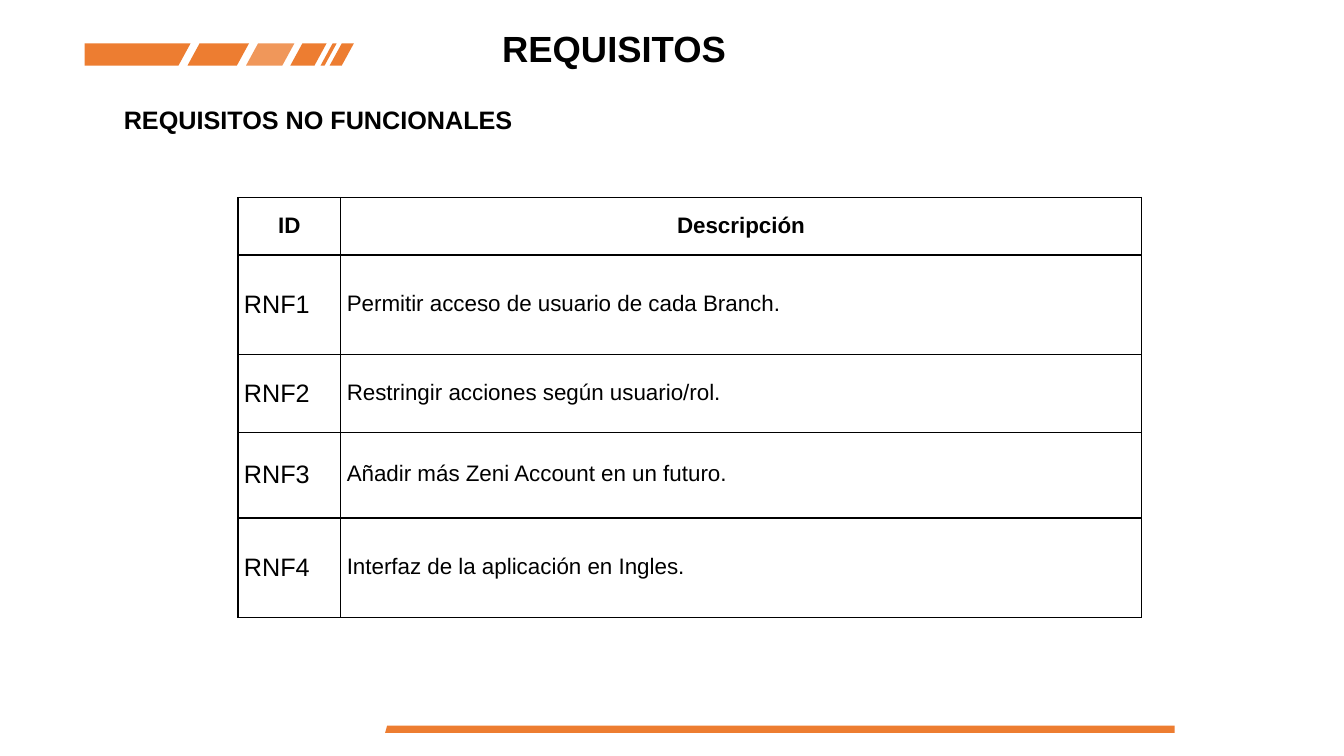
from dataclasses import dataclass

from lxml import etree
from pptx import Presentation
from pptx import util as u
from pptx.dml.color import RGBColor
from pptx.enum import text
from pptx.oxml.ns import qn


@dataclass(frozen=True)
class Theme:
    font: str = "Arial"
    ink: str = "000000"
    accent: str = "ED7D31"
    title: int = 26
    heading: int = 18
    body: int = 16
    border: float = 0.96


THEME = Theme()
SLANT = 0.12
STRIPES = [
    (0.00, 0.93, 0, 100),
    (1.02, 0.49, SLANT, 100),
    (1.60, 0.36, SLANT, 80),
    (2.04, 0.24, SLANT, 100),
    (2.43, 0.12, SLANT, 100),
    (2.34, 0.04, SLANT, 100),
]
COLUMN_WIDTHS = [1.02, 7.94]
ROW_HEIGHTS = [0.57, 0.99, 0.77, 0.85, 0.99]
REQUIREMENTS = [
    ("ID", "Descripción"),
    ("RNF1", "Permitir acceso de usuario de cada Branch."),
    ("RNF2", "Restringir acciones según usuario/rol."),
    ("RNF3", "Añadir más Zeni Account en un futuro."),
    ("RNF4", "Interfaz de la aplicación en Ingles."),
]


def write(paragraph, words, size, bold=False):
    run = paragraph.add_run()
    run.text = words
    run.font.name = THEME.font
    run.font.size = u.Pt(size)
    run.font.bold = bold
    run.font.color.rgb = RGBColor.from_string(THEME.ink)


def add_outline(slide, points, opacity=100):
    corners = [(u.Inches(x), u.Inches(y)) for x, y in points]
    builder = slide.shapes.build_freeform(*corners[0])
    builder.add_line_segments(corners[1:], close=True)
    shape = builder.convert_to_shape()
    shape.shadow.inherit = False
    shape.fill.solid()
    shape.fill.fore_color.rgb = RGBColor.from_string(THEME.accent)
    shape.line.fill.background()
    if opacity < 100:
        color = shape.fill._xPr.find(qn("a:solidFill"))[0]
        etree.SubElement(color, qn("a:alpha"), val=str(opacity * 1000))


def add_stripes(slide, left, top, height):
    for offset, width, slant, opacity in STRIPES:
        start = left + offset
        end = start + width
        add_outline(slide, [
            (start + slant, top), (end + SLANT, top),
            (end, top + height), (start, top + height),
        ], opacity)


def add_footer_bar(slide, left, top, width, height):
    right, bottom = left + width, top + height
    add_outline(slide, [(left, bottom), (right, bottom), (right, top), (left + 0.02, top)])


def fill_text(shape, words, size):
    frame = shape.text_frame
    frame.word_wrap = True
    frame.auto_size = text.MSO_AUTO_SIZE.NONE
    frame.vertical_anchor = text.MSO_ANCHOR.TOP
    paragraph = frame.paragraphs[0]
    paragraph.alignment = text.PP_ALIGN.LEFT
    paragraph.line_spacing = 1.0
    paragraph.space_before = u.Pt(0)
    write(paragraph, words, size, bold=True)


def add_title(slide, left, top, width, height):
    title = slide.shapes.title
    title.left, title.top = u.Inches(left), u.Inches(top)
    title.width, title.height = u.Inches(width), u.Inches(height)
    fill_text(title, "REQUISITOS", THEME.title)


def add_heading(slide, left, top, width, height):
    box = slide.shapes.add_textbox(*map(u.Inches, (left, top, width, height)))
    fill_text(box, "REQUISITOS NO FUNCIONALES", THEME.heading)


def add_borders(cell):
    properties = cell._tc.get_or_add_tcPr()
    for index, side in enumerate(("lnL", "lnR", "lnT", "lnB")):
        line = etree.Element(qn(f"a:{side}"), w=str(u.Pt(THEME.border)))
        fill = etree.SubElement(line, qn("a:solidFill"))
        etree.SubElement(fill, qn("a:srgbClr"), val=THEME.ink)
        properties.insert(index, line)


def add_cell(cell, words, is_header, is_id):
    cell.fill.background()
    add_borders(cell)
    cell.vertical_anchor = text.MSO_ANCHOR.MIDDLE
    cell.margin_left = cell.margin_right = u.Inches(0.06)
    cell.margin_top = cell.margin_bottom = u.Inches(0.05)
    paragraph = cell.text_frame.paragraphs[0]
    paragraph.alignment = text.PP_ALIGN.CENTER if is_header else text.PP_ALIGN.LEFT
    if not is_header and not is_id:
        paragraph.line_spacing = 0.9
    size = THEME.heading if is_id and not is_header else THEME.body
    write(paragraph, words, size, bold=is_header)


def add_requirements(slide, left, top):
    table = slide.shapes.add_table(
        len(ROW_HEIGHTS), len(COLUMN_WIDTHS), u.Inches(left), u.Inches(top),
        u.Inches(sum(COLUMN_WIDTHS)), u.Inches(sum(ROW_HEIGHTS)),
    ).table
    table.first_row = table.horz_banding = False
    for column, width in zip(table.columns, COLUMN_WIDTHS):
        column.width = u.Inches(width)
    for row_index, (row, height) in enumerate(zip(table.rows, ROW_HEIGHTS)):
        row.height = u.Inches(height)
        for column_index, words in enumerate(REQUIREMENTS[row_index]):
            add_cell(row.cells[column_index], words, row_index == 0, column_index == 0)


def add_requirements_slide(presentation):
    slide = presentation.slides.add_slide(presentation.slide_layouts.get_by_name("Title Only"))
    add_footer_bar(slide, 3.82, 7.2, 7.83, 0.07)
    add_title(slide, 4.88, 0.21, 3.87, 0.55)
    add_stripes(slide, 0.84, 0.43, 0.22)
    add_requirements(slide, 2.36, 1.96)
    add_heading(slide, 1.13, 0.99, 4.13, 0.65)


def main():
    presentation = Presentation()
    presentation.slide_width = u.Inches(13.33)
    presentation.slide_height = u.Inches(7.5)
    add_requirements_slide(presentation)
    presentation.save("out.pptx")


if __name__ == "__main__":
    main()
